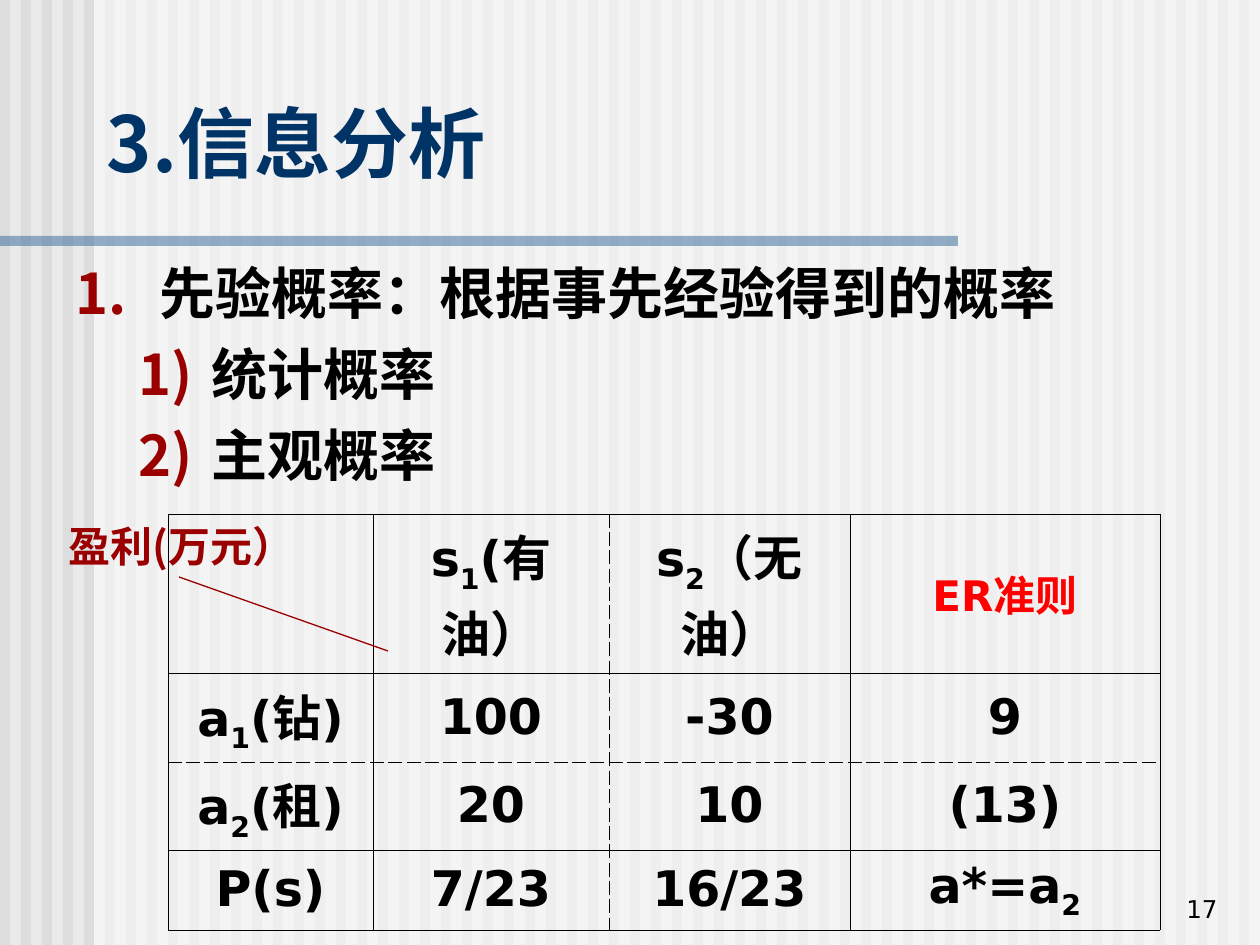
from lxml.etree import SubElement
from pptx import Presentation
from pptx.dml.color import RGBColor
from pptx.enum.shapes import MSO_CONNECTOR as Connector, MSO_SHAPE as Shape
from pptx.enum.text import MSO_ANCHOR as Anchor, MSO_AUTO_SIZE as AutoSize, PP_ALIGN as Align
from pptx.oxml.ns import qn
from pptx.util import Pt

PX = 914400 // 126
COLORS = {"page": "EAEAEA", "stripe": "DDDDDD", "wash": "FFFFFF", "bar": "336699",
          "title": "003366", "text": "000000", "accent": "9A0000", "rule": "FF0000"}
CJK, LATIN, BODY = "Noto Sans CJK SC", "DejaVu Sans", "Arial"
OUTLINE = [("先验概率：根据事先经验得到的概率", 0, BODY),
           ("统计概率", 1, CJK), ("主观概率", 1, CJK)]
LEVELS = [("arabicPeriod", 84, -84), ("arabicParenR", 136, -73)]
COLUMNS = [131, 74, 236, 241, 310]
ROWS = [159, 89, 88, 80]
PAYOFFS = [["", "", "s_1(有油）", "s_2（无油）", "ER准则"],
           ["a_1(钻)", "", "100", "-30", "9"],
           ["a_2(租)", "", "20", "10", "(13)"],
           ["P(s)", "", "7/23", "16/23", "a*=a_2"]]


def rgb(name):
    """Return the named colour."""
    return RGBColor.from_string(COLORS[name])


def scale(*lengths):
    """Turn px lengths into EMU."""
    return [length * PX for length in lengths]


def write(paragraph, text, size=28, font=LATIN, color="text", bold=True,
          align=Align.LEFT, before=0):
    """Write text into a paragraph; the character after each _ is a subscript."""
    paragraph.alignment = align
    paragraph.space_before = Pt(before)
    first, *rest = text.split("_")
    pieces = [(first, False)]
    for part in rest:
        pieces += [(part[:1], True), (part[1:], False)]
    for piece, subscript in pieces:
        if not piece:
            continue
        run = paragraph.add_run()
        run.text = piece
        run.font.size, run.font.bold, run.font.name = Pt(size), bold, font
        run.font.color.rgb = rgb(color)
        properties = run.font._element
        SubElement(properties, qn("a:ea"), typeface=CJK)
        if subscript:
            properties.set("baseline", "-25000")


def add_text(slide, box, text, anchor=Anchor.TOP, wrap=True, **style):
    """Add a text box with one paragraph."""
    frame = slide.shapes.add_textbox(*scale(*box)).text_frame
    frame.word_wrap, frame.vertical_anchor = wrap, anchor
    write(frame.paragraphs[0], text, **style)


def add_rectangle(slide, box, color, alpha=None):
    """Add a plain filled rectangle, with an optional opacity in percent."""
    shape = slide.shapes.add_shape(Shape.RECTANGLE, *scale(*box))
    shape.shadow.inherit = False
    shape.fill.solid()
    shape.fill.fore_color.rgb = rgb(color)
    shape.line.fill.background()
    if alpha:
        value = shape._element.spPr.find(".//" + qn("a:srgbClr"))
        SubElement(value, qn("a:alpha"), val=str(alpha * 1000))


def add_backdrop(slide, box):
    """Fill the box with stripes, a pale wash and the bar under the title."""
    left, top, width, height = box
    slide.background.fill.solid()
    slide.background.fill.fore_color.rgb = rgb("page")
    for offset in range(0, width, 21):
        add_rectangle(slide, (left + offset, top, 10, height), "stripe")
    add_rectangle(slide, (left + 94, top, width - 94, height), "wash", 50)
    add_rectangle(slide, (left, top + 236, 958, 10), "bar", 50)


def add_title(slide, box, text):
    """Place the title placeholder in front of the backdrop."""
    title = slide.shapes.title
    title.left, title.top, title.width, title.height = scale(*box)
    slide.shapes._spTree.append(title._element)
    frame = title.text_frame
    frame.auto_size, frame.vertical_anchor = AutoSize.NONE, Anchor.MIDDLE
    write(frame.paragraphs[0], text, size=44, font=CJK, color="title")


def add_outline(slide, box):
    """Add the numbered list on two levels."""
    frame = slide.shapes.add_textbox(*scale(*box)).text_frame
    frame.word_wrap = True
    for index, (text, level, font) in enumerate(OUTLINE):
        paragraph = frame.add_paragraph() if index else frame.paragraphs[0]
        paragraph.level = level
        write(paragraph, text, size=32, font=font, align=Align.JUSTIFY, before=8)
        scheme, margin, indent = LEVELS[level]
        properties = paragraph._p.get_or_add_pPr()
        properties.set("marL", str(margin * PX))
        properties.set("indent", str(indent * PX))
        bullet_color = SubElement(properties, qn("a:buClr"))
        SubElement(bullet_color, qn("a:srgbClr"), val=COLORS["accent"])
        SubElement(properties, qn("a:buFont"), typeface=CJK)
        SubElement(properties, qn("a:buAutoNum"), type=scheme)


def set_borders(cell, **edges):
    """Draw the cell edges, each one solid, dash or None."""
    properties = cell._tc.get_or_add_tcPr()
    for side, dash in edges.items():
        line = SubElement(properties, qn("a:ln" + side), w=str(Pt(0.45)))
        if dash:
            fill = SubElement(line, qn("a:solidFill"))
            SubElement(fill, qn("a:srgbClr"), val=COLORS["text"])
            SubElement(line, qn("a:prstDash"), val=dash)
        else:
            SubElement(line, qn("a:noFill"))


def add_payoff_table(slide, box):
    """Add the payoff table; the first two columns are joined below the header."""
    table = slide.shapes.add_table(len(ROWS), len(COLUMNS), *scale(*box)).table
    table.first_row = table.horz_banding = False
    for column, width in zip(table.columns, scale(*COLUMNS)):
        column.width = width
    for row, height in zip(table.rows, scale(*ROWS)):
        row.height = height
    vertical = ["solid", None, "solid", "dash", "solid", "solid"]
    horizontal = ["solid", "solid", "dash", "solid", "solid"]
    for row, texts in enumerate(PAYOFFS):
        if row:
            table.cell(row, 0).merge(table.cell(row, 1))
        for column, text in enumerate(texts):
            cell = table.cell(row, column)
            end = column + (cell.span_width if cell.is_merge_origin else 1)
            set_borders(cell, L=vertical[column], R=vertical[end],
                        T=horizontal[row], B=horizontal[row + 1])
            cell.fill.background()
            cell.vertical_anchor = Anchor.MIDDLE
            if text:
                header = text == "ER准则"
                write(cell.text_frame.paragraphs[0], text, align=Align.CENTER,
                      size=24 if header else 28, before=6 if header else 7,
                      color="rule" if header else "text")


def add_corner(slide, box):
    """Add the corner label and its slanted line."""
    left, top, width, height = box
    add_text(slide, box, "盈利(万元）", wrap=False, size=24, font=CJK,
             color="accent", align=Align.CENTER)
    start, end = (left + 133, top + height), (left + 342, top + 137)
    line = slide.shapes.add_connector(Connector.STRAIGHT, *scale(*start, *end))
    line.line.color.rgb = rgb("accent")
    line.line.width = Pt(0.75)
    SubElement(line._element.spPr, qn("a:effectLst"))


def main():
    """Build and save the slide."""
    presentation = Presentation()
    presentation.slide_width, presentation.slide_height = scale(1260, 945)
    slide = presentation.slides.add_slide(presentation.slide_layouts[5])
    add_backdrop(slide, (0, 0, 1260, 945))
    add_title(slide, (94, 63, 1071, 158), "3.信息分析")
    add_outline(slide, (63, 252, 1124, 640))
    add_payoff_table(slide, (168, 514, sum(COLUMNS), sum(ROWS)))
    add_corner(slide, (46, 514, 271, 63))
    add_text(slide, (968, 867, 262, 63), "17", anchor=Anchor.BOTTOM, size=14,
             bold=False, align=Align.RIGHT)
    presentation.save("out.pptx")


if __name__ == "__main__":
    main()
